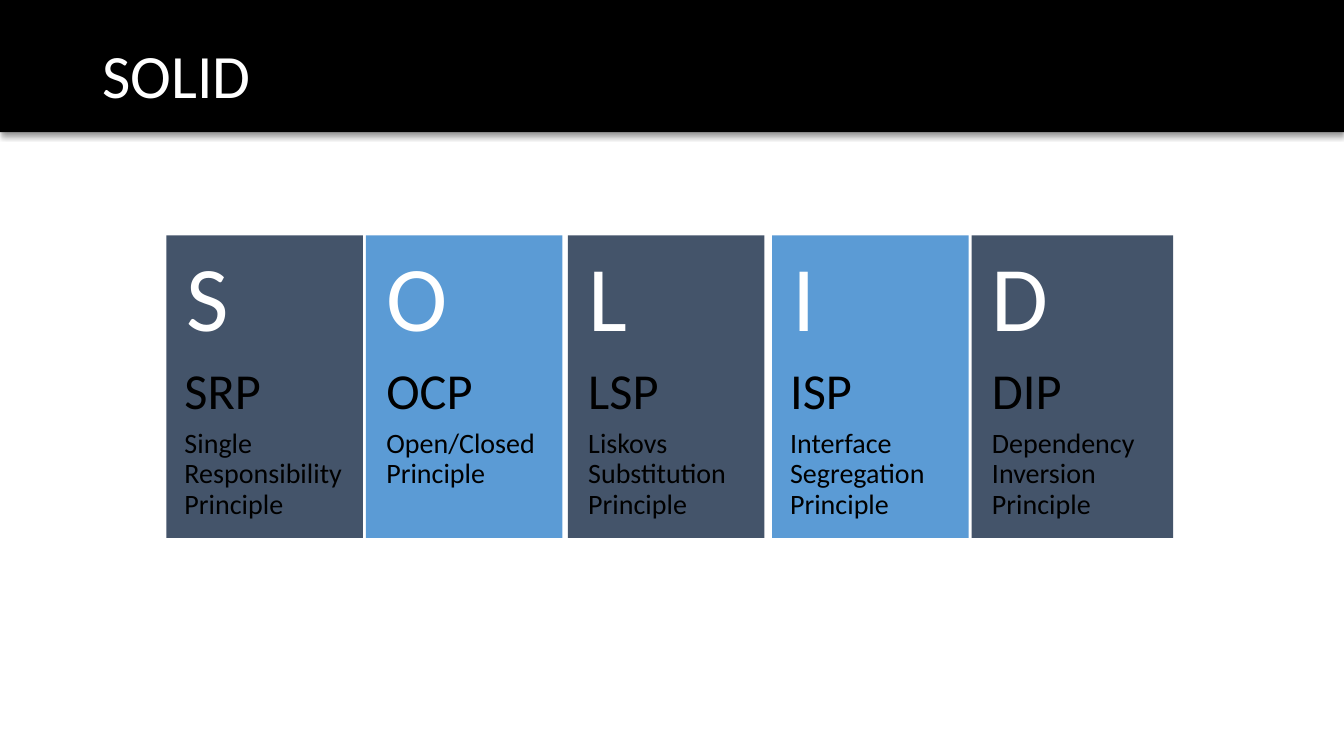
"""Build the SOLID principles slide."""
from dataclasses import dataclass

from lxml import etree
from pptx import Presentation
from pptx.dml.color import RGBColor
from pptx.enum.shapes import MSO_SHAPE
from pptx.enum.text import MSO_ANCHOR, MSO_AUTO_SIZE, PP_ALIGN
from pptx.oxml.ns import qn
from pptx.util import Pt

RECTANGLE = MSO_SHAPE.RECTANGLE
TOP = MSO_ANCHOR.TOP
LEFT = PP_ALIGN.LEFT
GROW = MSO_AUTO_SIZE.SHAPE_TO_FIT_TEXT
FIXED = MSO_AUTO_SIZE.NONE

SLIDE_WIDTH, SLIDE_HEIGHT = 960, 540
BAND_HEIGHT = 94.4
TILE_TOP, TILE_HEIGHT = 168.2, 216
LABEL_LEFT, LABEL_PITCH = 117.4, 144.2

PRINCIPLES = [
    ("S", "SRP", "Single Responsibility Principle", 118.8, 140.4, 88.6),
    ("O", "OCP", "Open/Closed Principle", 261.4, 140.4, 67),
    ("L", "LSP", "Liskovs Substitution Principle", 405.6, 140.4, 88.6),
    ("I", "ISP", "Interface Segregation Principle", 551.6, 140.4, 88.6),
    ("D", "DIP", "Dependency Inversion Principle", 694, 144, 88.6),
]


@dataclass(frozen=True)
class Theme:
    """Colours, font and type sizes of the slide."""

    font: str = "Calibri"
    black: str = "000000"
    white: str = "FFFFFF"
    tiles: tuple = ("44546A", "5B9BD5")
    title: int = 44
    letter: int = 66
    acronym: int = 36
    description: int = 20


def write(frame, text, *, font, size, color, after=0, insets=(7.2, 3.6), resize=FIXED):
    """Fill a text frame with one formatted paragraph."""
    frame.text = text
    frame.word_wrap = True
    frame.auto_size = resize
    frame.vertical_anchor = TOP
    frame.margin_left = frame.margin_right = Pt(insets[0])
    frame.margin_top = frame.margin_bottom = Pt(insets[1])
    paragraph = frame.paragraphs[0]
    paragraph.alignment = LEFT
    paragraph.line_spacing = 0.9
    paragraph.space_before = Pt(0)
    paragraph.space_after = Pt(after)
    paragraph.font.name = font
    paragraph.font.size = Pt(size)
    paragraph.font.color.rgb = RGBColor.from_string(color)


class SlideBuilder:
    """Holds the theme and the current slide."""

    def __init__(self, slide, theme):
        """Keep the slide and its theme."""
        self.slide = slide
        self.theme = theme

    def block(self, left, top, width, height, color):
        """Add a plain filled rectangle."""
        block = self.slide.shapes.add_shape(
            RECTANGLE, Pt(left), Pt(top), Pt(width), Pt(height))
        block.shadow.inherit = False
        block.fill.solid()
        block.fill.fore_color.rgb = RGBColor.from_string(color)
        block.line.fill.background()
        return block

    def header(self, text):
        """Place the title on a full-width band with a soft shadow."""
        title = self.slide.shapes.title
        title.left, title.top = Pt(66), Pt(28.8)
        title.width, title.height = Pt(828), Pt(65.6)
        write(title.text_frame, text, font=self.theme.font,
              size=self.theme.title, color=self.theme.white)
        band = self.block(0, 0, SLIDE_WIDTH, BAND_HEIGHT, self.theme.black)
        effects = band.element.spPr.find(qn("a:effectLst"))
        shadow = etree.SubElement(
            effects, qn("a:outerShdw"), blurRad=str(Pt(4)), dist=str(Pt(3)),
            dir="5400000", algn="t", rotWithShape="0")
        shade = etree.SubElement(shadow, qn("a:srgbClr"), val=self.theme.black)
        etree.SubElement(shade, qn("a:alpha"), val="40000")
        title.element.addprevious(band.element)

    def tile(self, letter, left, width, color):
        """Add a coloured tile headed by a large letter."""
        tile = self.block(left, TILE_TOP, width, TILE_HEIGHT, color)
        write(tile.text_frame, letter, font=self.theme.font, size=self.theme.letter,
              color=self.theme.white, after=6.1, insets=(14.4, 11.52))

    def label(self, text, left, top, width, height, size):
        """Add a text label over a tile."""
        label = self.slide.shapes.add_textbox(
            Pt(left), Pt(top), Pt(width), Pt(height))
        write(label.text_frame, text, font=self.theme.font, size=size,
              color=self.theme.black, after=6, insets=(14.4, 11.52), resize=GROW)


def main():
    """Build and save the slide."""
    deck = Presentation()
    deck.slide_width, deck.slide_height = Pt(SLIDE_WIDTH), Pt(SLIDE_HEIGHT)
    theme = Theme()
    builder = SlideBuilder(deck.slides.add_slide(deck.slide_layouts[5]), theme)
    builder.header("SOLID")
    for index, (letter, _, _, left, width, _) in enumerate(PRINCIPLES):
        builder.tile(letter, left, width, theme.tiles[index % 2])
    for index, (_, acronym, description, _, _, height) in enumerate(PRINCIPLES):
        left = LABEL_LEFT + index * LABEL_PITCH
        builder.label(acronym, left, 249.8, 108, 62.6, theme.acronym)
        builder.label(description, left, 295.2, 152, height, theme.description)
    deck.save("out.pptx")


if __name__ == "__main__":
    main()
